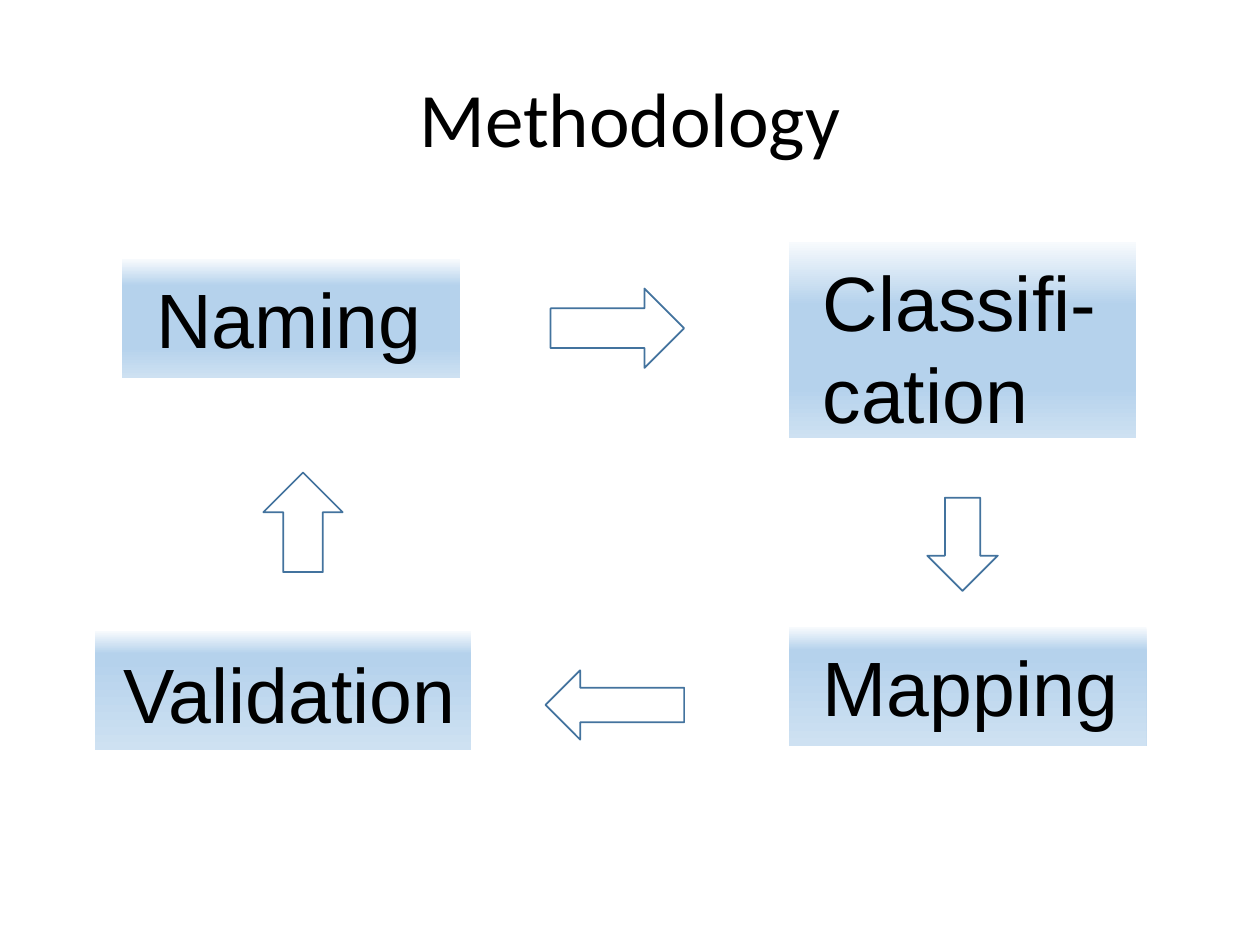
"""Build the Methodology slide: a four-step cycle joined by block arrows."""
import pptx
import pptx.dml.color
import pptx.enum.shapes
import pptx.enum.text
import pptx.oxml
import pptx.oxml.ns
import pptx.util
from pptx.util import Inches

COLORS = {
    "text": "000000",
    "arrow": "43739E",
    "pale": "F7FAFD",
    "blue": "B5D2EC",
    "light": "CEE1F2",
}
ARROW = pptx.enum.shapes.MSO_SHAPE


def write_text(frame, text, *, font="Arial", size=44, align="LEFT", anchor="TOP"):
    frame.word_wrap = True
    frame.vertical_anchor = getattr(pptx.enum.text.MSO_ANCHOR, anchor)
    paragraph = frame.paragraphs[0]
    paragraph.alignment = getattr(pptx.enum.text.PP_ALIGN, align)
    run = paragraph.add_run()
    run.text = text
    run.font.name = font
    run.font.size = pptx.util.Pt(size)
    run.font.color.rgb = pptx.dml.color.RGBColor.from_string(COLORS["text"])


def fill_gradient(panel, stops):
    panel.fill.gradient()
    panel.fill.gradient_angle = 270
    stop_list = panel.element.spPr.find(".//" + pptx.oxml.ns.qn("a:gsLst"))
    for old_stop in list(stop_list):
        stop_list.remove(old_stop)
    for percent, color in stops:
        stop_list.append(pptx.oxml.parse_xml(
            f'<a:gs {pptx.oxml.ns.nsdecls("a")} pos="{percent * 1000}">'
            f'<a:srgbClr val="{COLORS[color]}"/></a:gs>'))


presentation = pptx.Presentation()
presentation.slide_width = Inches(10)
presentation.slide_height = Inches(7.5)
slide = presentation.slides.add_slide(presentation.slide_layouts[5])

heading = slide.shapes.title
heading.left, heading.top = Inches(0.5), Inches(0.3)
heading.width, heading.height = Inches(9), Inches(1.25)
write_text(heading.text_frame, "Methodology", font="Calibri", align="CENTER", anchor="MIDDLE")

steps = [
    ("Naming", (0.97, 2.06, 2.68, 0.94), (1.14, 2.11, 2.99, 0.84), (22, 74)),
    ("Classifi-cation", (6.26, 1.92, 2.76, 1.56), (6.43, 1.97, 2.43, 1.58), (32, 74)),
    ("Mapping", (6.26, 4.98, 2.84, 0.94), (6.43, 5.03, 2.99, 0.84), (19, 24)),
    ("Validation", (0.75, 5.01, 2.99, 0.94), (0.88, 5.08, 2.99, 0.84), (19, 24)),
]
for step, panel_box, label_box, (blue_start, blue_end) in steps:
    group = slide.shapes.add_group_shape()
    panel = group.shapes.add_shape(ARROW.RECTANGLE, *map(Inches, panel_box))
    panel.shadow.inherit = False
    panel.line.fill.background()
    fill_gradient(panel, [(0, "pale"), (blue_start, "blue"), (blue_end, "blue"), (100, "light")])
    label = group.shapes.add_textbox(*map(Inches, label_box))
    write_text(label.text_frame, step)

arrows = [
    (ARROW.RIGHT_ARROW, (4.37, 2.29, 1.06, 0.63)),
    (ARROW.DOWN_ARROW, (7.36, 3.95, 0.56, 0.74)),
    (ARROW.LEFT_ARROW, (4.33, 5.32, 1.1, 0.55)),
    (ARROW.UP_ARROW, (2.09, 3.75, 0.63, 0.79)),
]
for direction, arrow_box in arrows:
    arrow = slide.shapes.add_shape(direction, *map(Inches, arrow_box))
    arrow.shadow.inherit = False
    arrow.fill.background()
    arrow.line.color.rgb = pptx.dml.color.RGBColor.from_string(COLORS["arrow"])
    arrow.line.width = pptx.util.Pt(1)

presentation.save("out.pptx")
